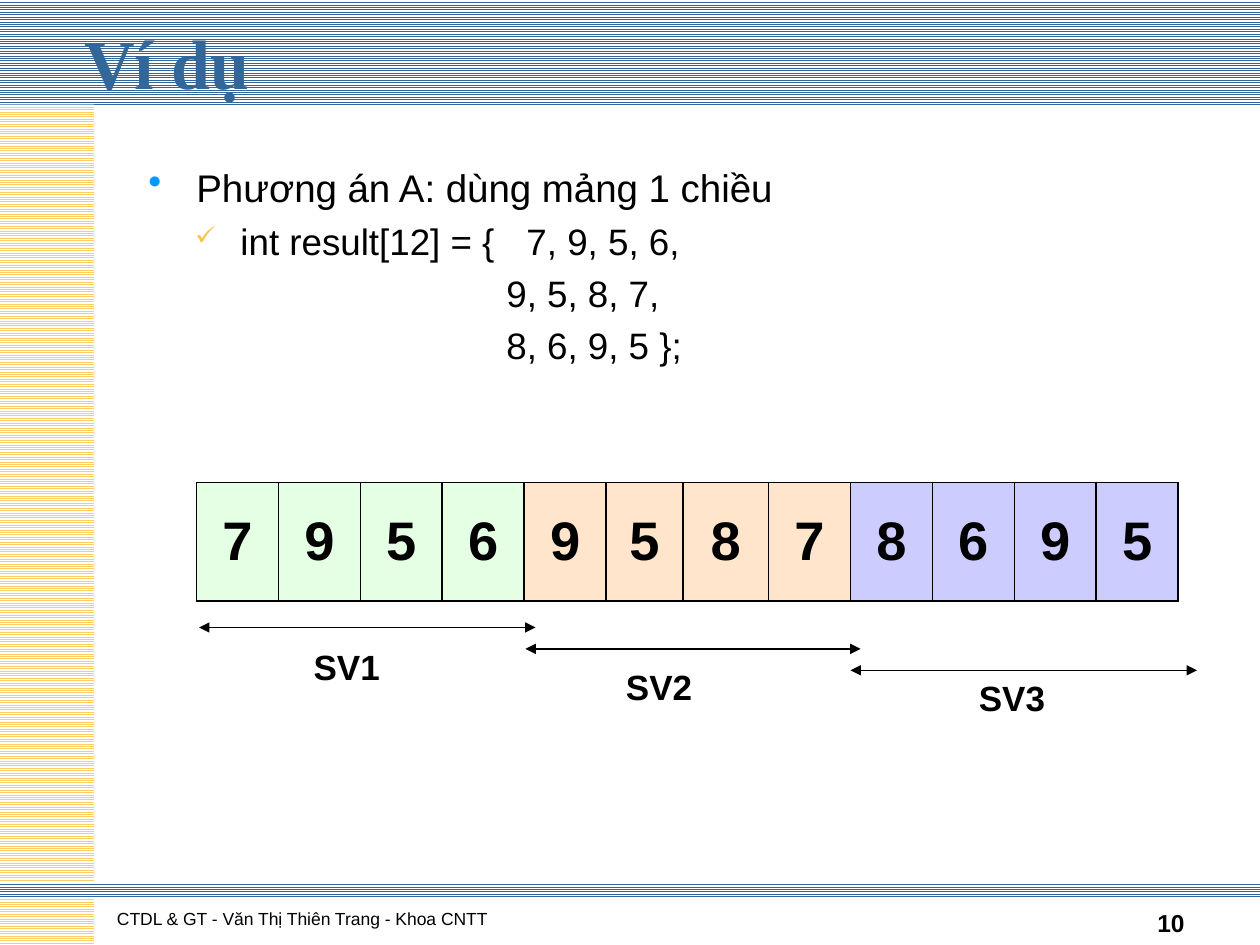
"""Build the slide that shows a two-dimensional score list stored in a one-dimensional array."""
from dataclasses import dataclass

from lxml import etree
from pptx import Presentation
from pptx.dml.color import RGBColor
from pptx.enum.dml import MSO_PATTERN
from pptx.enum.shapes import MSO_CONNECTOR, MSO_SHAPE
from pptx.enum.text import MSO_ANCHOR, PP_ALIGN
from pptx.oxml.ns import qn
from pptx.util import Inches, Pt

LIGHT_HORIZONTAL = MSO_PATTERN.LIGHT_HORIZONTAL
STRAIGHT = MSO_CONNECTOR.STRAIGHT
RECTANGLE = MSO_SHAPE.RECTANGLE
TOP, MIDDLE, BOTTOM = MSO_ANCHOR.TOP, MSO_ANCHOR.MIDDLE, MSO_ANCHOR.BOTTOM
LEFT, CENTER, RIGHT, JUSTIFY = PP_ALIGN.LEFT, PP_ALIGN.CENTER, PP_ALIGN.RIGHT, PP_ALIGN.JUSTIFY

COLORS = {
    "text": "000000",
    "paper": "FFFFFF",
    "blue": "336699",
    "yellow": "FFCC66",
    "dot": "0099FF",
    "check": "FFC247",
    "green": "CCFFCC",
    "orange": "FFCC99",
    "violet": "CCCCFF",
}


@dataclass(frozen=True)
class Band:
    left: float
    top: float
    width: float
    height: float
    color: str


@dataclass(frozen=True)
class Label:
    text: str
    left: float
    top: float
    width: float
    height: float
    size: float
    bold: bool = True
    font: str = "Arial"
    color: str = "text"
    anchor: MSO_ANCHOR = TOP
    align: PP_ALIGN = LEFT
    wrap: bool = True


@dataclass(frozen=True)
class BodyLine:
    text: str
    size: float
    margin: float
    indent: float = 0
    bullet: str = ""
    bullet_color: str = ""
    bullet_percent: int = 100


@dataclass(frozen=True)
class Student:
    name: str
    scores: tuple[int, ...]
    color: str
    opacity: int
    arrow_start: float
    arrow_end: float
    arrow_top: float
    label_left: float
    label_top: float


BANDS = (
    Band(0, 0, 10.01, 0.83, "blue"),
    Band(0, 0.83, 0.75, 6.67, "yellow"),
    Band(-0.01, 7, 10.01, 0.13, "blue"),
)
LABELS = (
    Label("CTDL & GT - Văn Thị Thiên Trang - Khoa CNTT", 0.83, 6.92, 6.08, 0.5, 10,
          bold=False, anchor=BOTTOM),
    Label("10", 7.17, 6.99, 2.33, 0.5, 14, anchor=BOTTOM, align=RIGHT),
    Label("Ví dụ", 0.57, 0.06, 9, 0.86, 40, font="Times New Roman", color="blue", anchor=MIDDLE),
)
BODY = (
    BodyLine("Phương án A: dùng mảng 1 chiều", 22, 0.38, -0.38, "•", "dot"),
    BodyLine("int result[12] = {\t7, 9, 5, 6,", 21, 0.73, -0.36, "✓", "check", 70),
    BodyLine("9, 5, 8, 7,", 21, 2.84),
    BodyLine("8, 6, 9, 5 };", 21, 2.84),
)
STUDENTS = (
    Student("SV1", (7, 9, 5, 6), "green", 50, 1.58, 4.25, 4.98, 2.39, 5.07),
    Student("SV2", (9, 5, 8, 7), "orange", 50, 4.17, 6.83, 5.15, 4.87, 5.23),
    Student("SV3", (8, 6, 9, 5), "violet", 100, 6.75, 9.5, 5.32, 7.67, 5.32),
)
COLUMN_WIDTH = 0.65
ODD_COLUMN_WIDTHS = {5: 0.61, 6: 0.68}


def rgb(name: str) -> RGBColor:
    """Return the named colour."""
    return RGBColor.from_string(COLORS[name])


def add_run(paragraph, text: str, size: float, bold: bool, font: str = "Arial",
            color: str = "text") -> None:
    """Append one formatted run."""
    run = paragraph.add_run()
    run.text = text
    run.font.size = Pt(size)
    run.font.bold = bold
    run.font.name = font
    run.font.color.rgb = rgb(color)


def add_band(slide, band: Band) -> None:
    """Draw a striped band."""
    shape = slide.shapes.add_shape(RECTANGLE, Inches(band.left), Inches(band.top),
                                   Inches(band.width), Inches(band.height))
    shape.shadow.inherit = False
    shape.line.fill.background()
    shape.fill.patterned()
    shape.fill.pattern = LIGHT_HORIZONTAL
    shape.fill.fore_color.rgb = rgb(band.color)
    shape.fill.back_color.rgb = rgb("paper")


def add_label(slide, label: Label) -> None:
    """Write a single-line text box."""
    box = slide.shapes.add_textbox(Inches(label.left), Inches(label.top),
                                   Inches(label.width), Inches(label.height))
    frame = box.text_frame
    frame.word_wrap = label.wrap
    frame.vertical_anchor = label.anchor
    paragraph = frame.paragraphs[0]
    paragraph.alignment = label.align
    add_run(paragraph, label.text, label.size, label.bold, label.font, label.color)


def add_body(slide, lines: tuple[BodyLine, ...]) -> None:
    """Write the bulleted text."""
    box = slide.shapes.add_textbox(Inches(1.08), Inches(1.25), Inches(7.75), Inches(2.25))
    frame = box.text_frame
    frame.word_wrap = True
    for index, line in enumerate(lines):
        paragraph = frame.add_paragraph() if index else frame.paragraphs[0]
        paragraph.alignment = JUSTIFY
        paragraph.space_before = Pt(4.8)
        add_run(paragraph, line.text, line.size, False)
        properties = paragraph._p.get_or_add_pPr()
        properties.set("marL", str(Inches(line.margin)))
        properties.set("indent", str(Inches(line.indent)))
        if line.bullet:
            color = etree.SubElement(properties, qn("a:buClr"))
            etree.SubElement(color, qn("a:srgbClr"), val=COLORS[line.bullet_color])
            etree.SubElement(properties, qn("a:buSzPct"), val=str(line.bullet_percent * 1000))
            etree.SubElement(properties, qn("a:buChar"), char=line.bullet)


def format_cell(cell, score: int, student: Student) -> None:
    """Fill, outline and label one array cell."""
    cell.fill.solid()
    cell.fill.fore_color.rgb = rgb(student.color)
    cell.vertical_anchor = MIDDLE
    properties = cell._tc.get_or_add_tcPr()
    if student.opacity < 100:
        color = properties.find(f"{qn('a:solidFill')}/{qn('a:srgbClr')}")
        etree.SubElement(color, qn("a:alpha"), val=str(student.opacity * 1000))
    for position, side in enumerate(("a:lnL", "a:lnR", "a:lnT", "a:lnB")):
        border = etree.Element(qn(side), w=str(Pt(1)))
        fill = etree.SubElement(border, qn("a:solidFill"))
        etree.SubElement(fill, qn("a:srgbClr"), val=COLORS["text"])
        properties.insert(position, border)
    paragraph = cell.text_frame.paragraphs[0]
    paragraph.alignment = CENTER
    add_run(paragraph, str(score), 31, True)


def add_array(slide, students: tuple[Student, ...]) -> None:
    """Draw the array as a one-row table."""
    entries = [(score, student) for student in students for score in student.scores]
    table = slide.shapes.add_table(1, len(entries), Inches(1.56), Inches(3.83),
                                   Inches(7.79), Inches(0.94)).table
    for index, (score, student) in enumerate(entries):
        table.columns[index].width = Inches(ODD_COLUMN_WIDTHS.get(index, COLUMN_WIDTH))
        format_cell(table.cell(0, index), score, student)


def add_span(slide, student: Student) -> None:
    """Draw the double arrow and name of one student."""
    top = Inches(student.arrow_top)
    arrow = slide.shapes.add_connector(STRAIGHT, Inches(student.arrow_start), top,
                                       Inches(student.arrow_end), top)
    arrow.line.color.rgb = rgb("text")
    arrow.line.width = Pt(0.75)
    for end in ("a:headEnd", "a:tailEnd"):
        etree.SubElement(arrow.line._get_or_add_ln(), qn(end), type="triangle")
    etree.SubElement(arrow._element.spPr, qn("a:effectLst"))
    add_label(slide, Label(student.name, student.label_left, student.label_top, 0.73, 0.43, 20,
                           wrap=False))


def main() -> None:
    """Build and save the presentation."""
    presentation = Presentation()
    presentation.slide_width, presentation.slide_height = Inches(10), Inches(7.5)
    slide = presentation.slides.add_slide(presentation.slide_layouts[6])
    for band in BANDS:
        add_band(slide, band)
    for label in LABELS:
        add_label(slide, label)
    add_body(slide, BODY)
    add_array(slide, STUDENTS)
    for student in STUDENTS:
        add_span(slide, student)
    presentation.save("out.pptx")


if __name__ == "__main__":
    main()
